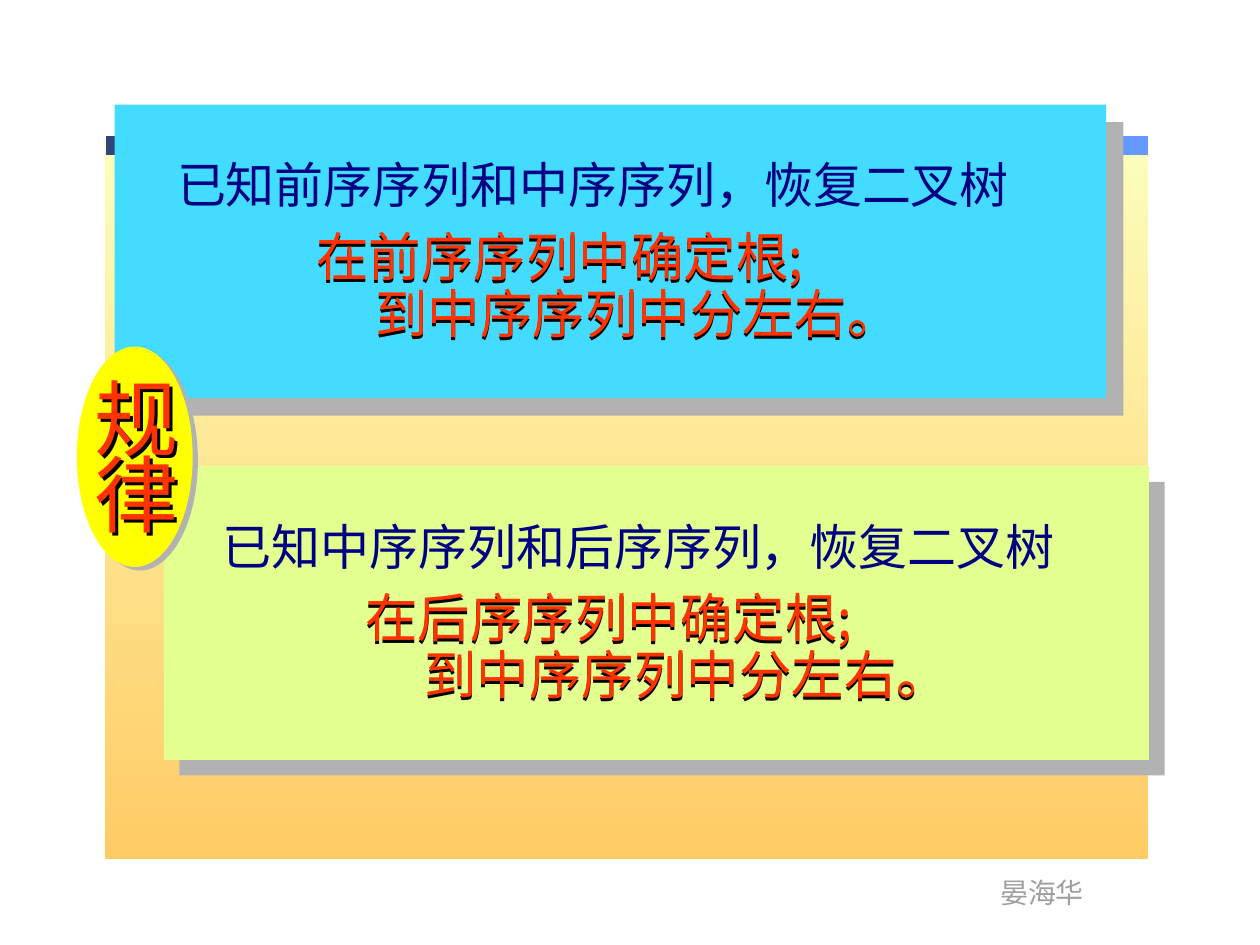
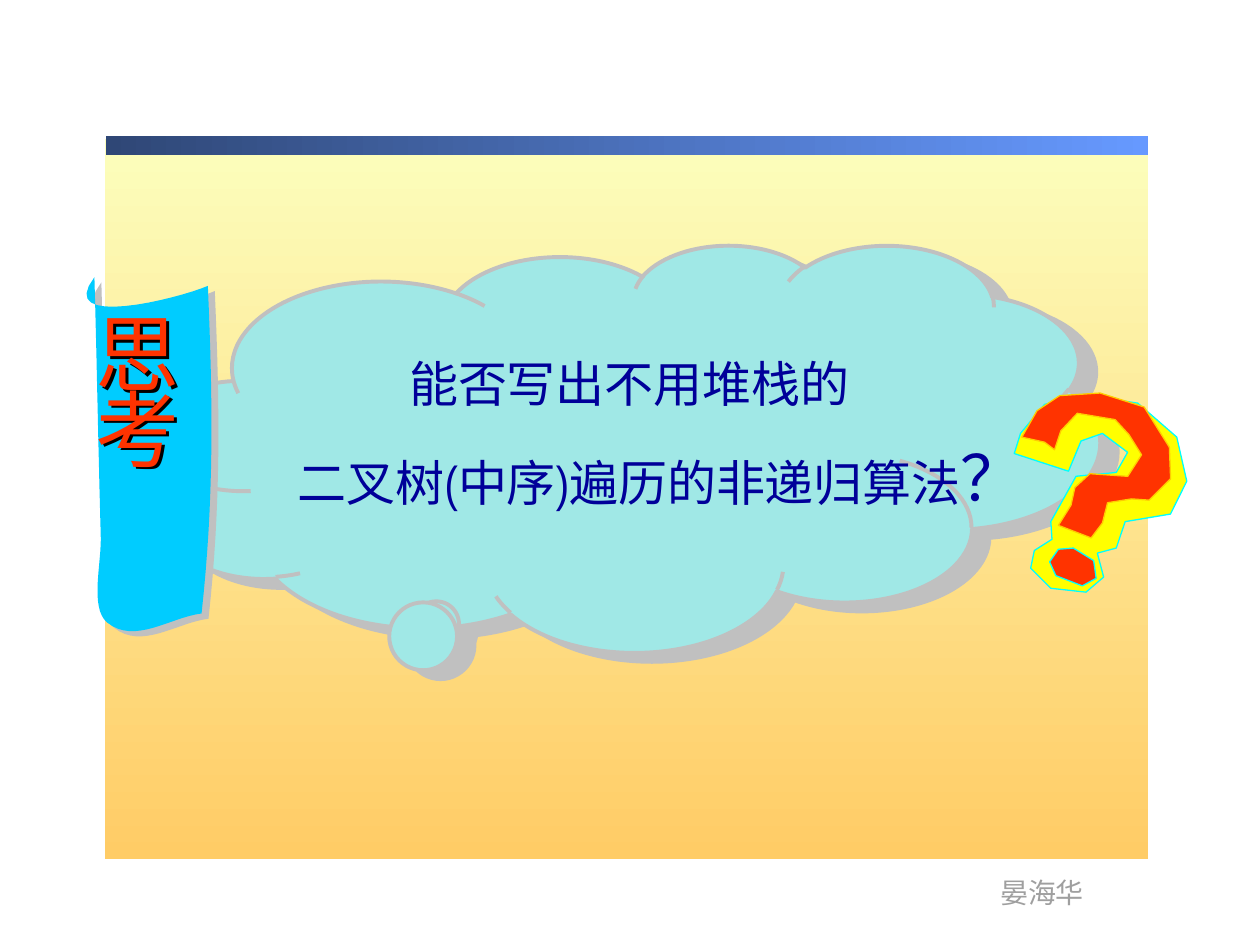
from dataclasses import dataclass, field
from typing import NamedTuple

from lxml.etree import SubElement
from pptx import Presentation
from pptx.dml.color import RGBColor as Rgb
from pptx.enum.shapes import MSO_SHAPE as Kind
from pptx.enum.text import PP_ALIGN as Align
from pptx.oxml.ns import qn
from pptx.util import Pt


@dataclass(frozen=True)
class Theme:
    paper: tuple = ("FCFEBC", "FFCC66")
    band: tuple = ("2F4776", "6699FF")
    sky: str = "43DBFF"
    lime: str = "E2FF8F"
    yellow: str = "FFFF00"
    red: str = "FF3300"
    black: str = "000000"
    navy: str = "000082"
    blue: str = "000099"
    cloud: str = "A0E8E6"
    scroll: str = "00CCFF"
    cyan: str = "00FFFF"
    gold: str = "FFCC00"
    shade: str = "B2B2B2"
    silver: str = "C0C0C0"
    gray: str = "9F9F9F"
    latin: str = "Arial Narrow"
    cjk: str = "Noto Sans CJK SC"
    foot: int = 16
    head: int = 28
    body: int = 30
    mark: int = 36
    badge: int = 48


T = Theme()


class Box(NamedTuple):
    x: float
    y: float
    w: float
    h: float


class Shade(NamedTuple):
    color: str
    dist: float
    angle: int


class Line(NamedTuple):
    color: str
    width: float


class Run(NamedTuple):
    text: str
    size: int


class Para(NamedTuple):
    runs: tuple
    indent: float = 0


@dataclass(frozen=True)
class Style:
    color: str
    font: str = T.cjk
    form: dict = field(default_factory=dict)
    shade: Shade | None = None
    wrap: bool = True


@dataclass(frozen=True)
class Card:
    box: Box
    fill: str
    dist: float
    inset: float
    order: str
    root: str


class Patch(NamedTuple):
    points: tuple
    fill: str
    line: Line


FOOT = Style(T.gray, T.latin, wrap=False)
HEAD = Style(T.navy)
BODY = Style(T.red, form={"line_spacing": 0.9}, shade=Shade(T.black, 1.7, 90))
BADGE = Style(T.red, T.latin, {"line_spacing": 0.75}, Shade(T.black, 2.2, 45))
ASK = Style(T.blue, T.latin, {"line_spacing": 1.35, "alignment": Align.CENTER})

CARDS = (
    Card(Box(65.5, 59.8, 566.6, 167.8), T.sky, 14.1, 22.3,
         "前序序列和中序序列", "前序"),
    Card(Box(93.6, 266.4, 563, 167.8), T.lime, 12.7, 20.3,
         "中序序列和后序序列", "后序"),
)

RIM = (
    (617.8, 252), (630, 247.7), (644.4, 258.5), (637.9, 270), (614.9, 272.2),
    (600.5, 298.1), (601.2, 308.2), (591.1, 314.6), (589, 324.7),
    (600.5, 336.2), (620.6, 338.4), (630.7, 329.8), (627.1, 316.1),
    (637.9, 313.2), (643, 298.1), (668.9, 293.8), (678.2, 275),
    (672.5, 249.8), (650.2, 230.4), (618.5, 225.4), (596.9, 231.1),
    (583.2, 247.7), (579.6, 259.2), (610.6, 269.3),
)
HOOK = (
    (583.9, 249.8), (596.9, 252.7), (602.6, 257), (606.2, 246.2),
    (615.6, 236.2), (637.2, 239.8), (645.1, 248.4), (652.3, 259.9),
    (644.4, 272.2), (622.8, 270.7), (614.2, 278.6), (612, 288.7),
    (604.8, 300.2), (623.5, 307.4), (630, 298.8), (632.9, 287.3),
    (646.6, 285.1), (656.6, 285.8), (668.9, 273.6), (668.2, 255.6),
    (653.8, 232.6), (628.6, 224.6), (605.5, 226.1), (592.6, 234.7),
)
DOT = (
    (613.4, 313.2), (604.8, 313.9), (599.8, 321.1), (603.4, 329),
    (618.5, 334.8), (626.4, 330.5), (625, 320.4),
)
QUERY = (
    Patch(RIM, T.yellow, Line(T.cyan, 0.75)),
    Patch(HOOK, T.red, Line(T.gold, 0.75)),
    Patch(DOT, T.red, Line(T.cyan, 0.75)),
)
SCROLL = (
    ((55.4, 207.4), (56.2, 256.3), (57.6, 305.3)),
    ((58.3, 321.8), (51.1, 347), (61.2, 355.7)),
    ((77, 368.6), (97.2, 352.8), (115.2, 350.6)),
    ((122.4, 285.8), (121.7, 229.7), (118.8, 163.4)),
    ((102.2, 170.6), (31, 188.6), (54, 158.4)),
)


def apply(target, form: dict) -> None:
    for name, value in form.items():
        setattr(target, name, value)


def cast(shape, shade: Shade | None) -> None:
    """Replace the default shadow with a hard one, or with none."""
    shape.shadow.inherit = False
    if shade:
        effects = shape._element.spPr.find(qn("a:effectLst"))
        outer = SubElement(effects, qn("a:outerShdw"), blurRad="0",
                           dist=str(Pt(shade.dist)),
                           dir=str(shade.angle * 60000),
                           algn="ctr", rotWithShape="0")
        SubElement(outer, qn("a:srgbClr"), val=shade.color)


def paint(shape, fill: str | tuple, line: Line | None = None,
          shade: Shade | None = None, angle: int = 0) -> None:
    if isinstance(fill, tuple):
        shape.fill.gradient()
        shape.fill.gradient_angle = angle
        for stop, color in zip(shape.fill.gradient_stops, fill):
            stop.color.rgb = Rgb.from_string(color)
    else:
        shape.fill.solid()
        shape.fill.fore_color.rgb = Rgb.from_string(fill)
    if line:
        shape.line.color.rgb = Rgb.from_string(line.color)
        shape.line.width = Pt(line.width)
    else:
        shape.line.fill.background()
    cast(shape, shade)


def draw(slide, kind: Kind, box: Box, fill: str | tuple, **look):
    shape = slide.shapes.add_shape(kind, *map(Pt, box))
    paint(shape, fill, **look)
    return shape


def trace(slide, points: tuple, fill: str, **look) -> None:
    """Draw a closed outline through the points."""
    start, *rest = [(Pt(x), Pt(y)) for x, y in points]
    pen = slide.shapes.build_freeform(*start)
    pen.add_line_segments(rest, close=True)
    paint(pen.convert_to_shape(), fill, **look)


def bend(start: tuple, curves: tuple, steps: int = 16) -> tuple:
    """Turn a chain of cubic curves into points."""
    points = [start]
    for one, two, end in curves:
        for step in range(1, steps + 1):
            t = step / steps
            u = 1 - t
            points.append(tuple(
                u**3 * a + 3 * u * u * t * b + 3 * u * t * t * c + t**3 * d
                for a, b, c, d in zip(start, one, two, end)))
        start = end
    return tuple(points)


def write(slide, box: Box, paras: tuple, style: Style) -> None:
    shape = slide.shapes.add_textbox(*map(Pt, box))
    cast(shape, style.shade)
    frame = shape.text_frame
    frame.word_wrap = style.wrap
    for index, item in enumerate(paras):
        para = frame.add_paragraph() if index else frame.paragraphs[0]
        apply(para, style.form)
        if item.indent:
            props = para._p.get_or_add_pPr()
            props.set("marL", str(Pt(item.indent)))
            props.set("indent", "0")
        for part in item.runs:
            run = para.add_run()
            run.text = part.text
            apply(run.font, {"name": style.font, "size": Pt(part.size)})
            run.font.color.rgb = Rgb.from_string(style.color)
            SubElement(run._r.get_or_add_rPr(), qn("a:ea"), typeface=T.cjk)


def plain(text: str, size: int, indent: float = 0) -> Para:
    return Para((Run(text, size),), indent)


def base(deck):
    """Add a slide with the shared panel, band and footer."""
    slide = deck.slides.add_slide(deck.slide_layouts[6])
    draw(slide, Kind.RECTANGLE, Box(59.8, 79.2, 596.2, 411.8), T.paper,
         angle=270)
    draw(slide, Kind.RECTANGLE, Box(60.5, 77.8, 595.4, 10.8), T.band)
    write(slide, Box(564.5, 496.8, 62.6, 26.6),
          (plain("晏海华", T.foot),), FOOT)
    return slide


def badge(slide, box: Box, word: str) -> None:
    write(slide, box, tuple(plain(sign, T.badge) for sign in word), BADGE)


def show(slide, card: Card) -> None:
    x, y, w, h = card.box
    draw(slide, Kind.RECTANGLE, card.box, card.fill,
         shade=Shade(T.shade, card.dist, 45))
    write(slide, Box(x + card.inset, y + 25.2, 538, 41),
          (plain(f"已知{card.order}，恢复二叉树", T.head, 6.3),), HEAD)
    write(slide, Box(x + 101.5, y + 68.7, 424, 72),
          (plain(f"在{card.root}序列中确定根;", T.body, 6.7),
           plain("到中序序列中分左右。", T.body, 40.3)), BODY)


def rules(deck) -> None:
    slide = base(deck)
    for card in CARDS:
        show(slide, card)
    draw(slide, Kind.OVAL, Box(43.9, 198, 66.2, 126), T.yellow,
         shade=Shade(T.shade, 3.6, 34))
    badge(slide, Box(46.8, 219.6, 121, 93.6), "规律")


def think(deck) -> None:
    slide = base(deck)
    cloud = draw(slide, Kind.CLOUD_CALLOUT, Box(84.2, 139.7, 544.3, 232.6),
                 T.cloud, line=Line(T.silver, 2.25),
                 shade=Shade(T.silver, 11.2, 27))
    for index, value in enumerate((-0.2, 0.44)):
        cloud.adjustments[index] = value
    # The indent lets the question mark hang past the centred line.
    ask = Para((Run("二叉树(中序)遍历的非递归算法", T.head),
                Run("？", T.mark)), T.mark)
    write(slide, Box(107.6, 186.5, 504, 108),
          (plain("能否写出不用堆栈的", T.head), ask), ASK)
    for patch in QUERY:
        trace(slide, patch.points, patch.fill, line=patch.line)
    trace(slide, bend(SCROLL[-1][-1], SCROLL), T.scroll,
          shade=Shade(T.silver, 5, 37))
    badge(slide, Box(47.5, 182.2, 90.7, 164.9), "思考")


def main() -> None:
    deck = Presentation()
    apply(deck, {"slide_width": Pt(720), "slide_height": Pt(540)})
    rules(deck)
    think(deck)
    deck.save("out.pptx")


if __name__ == "__main__":
    main()
